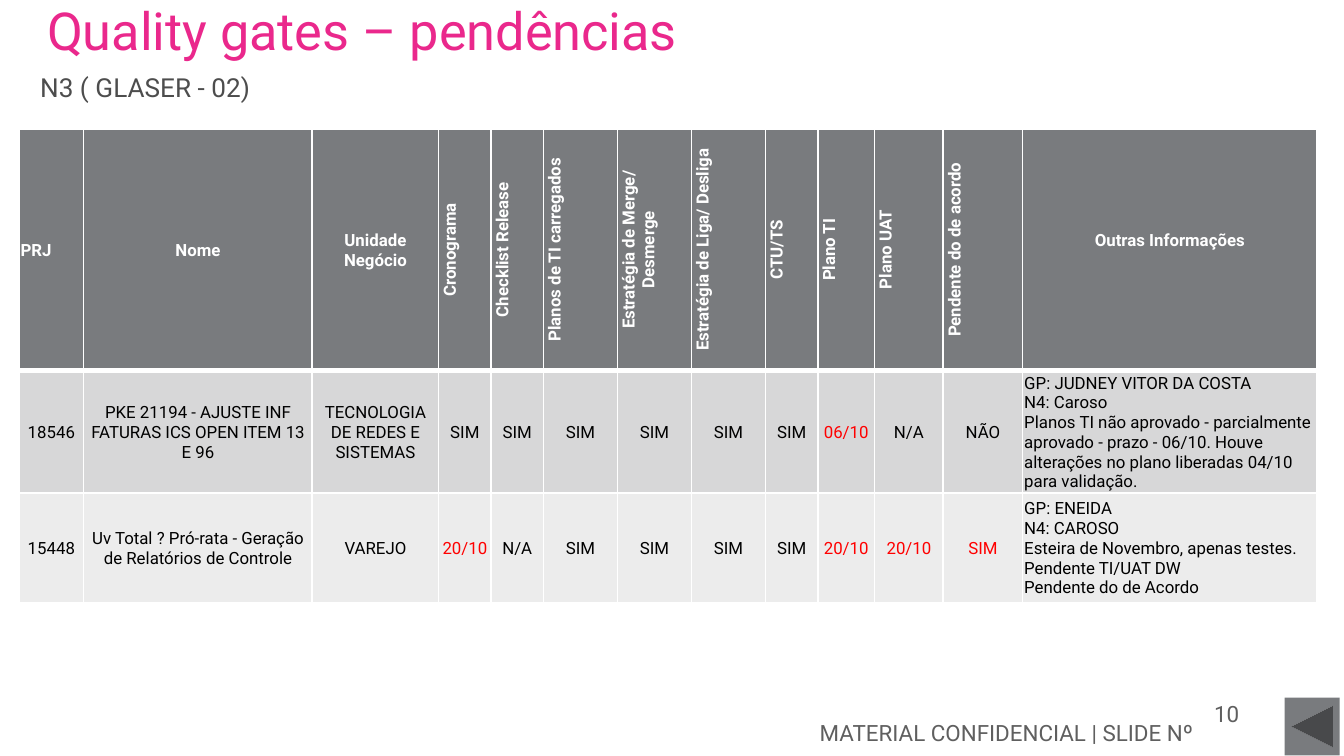
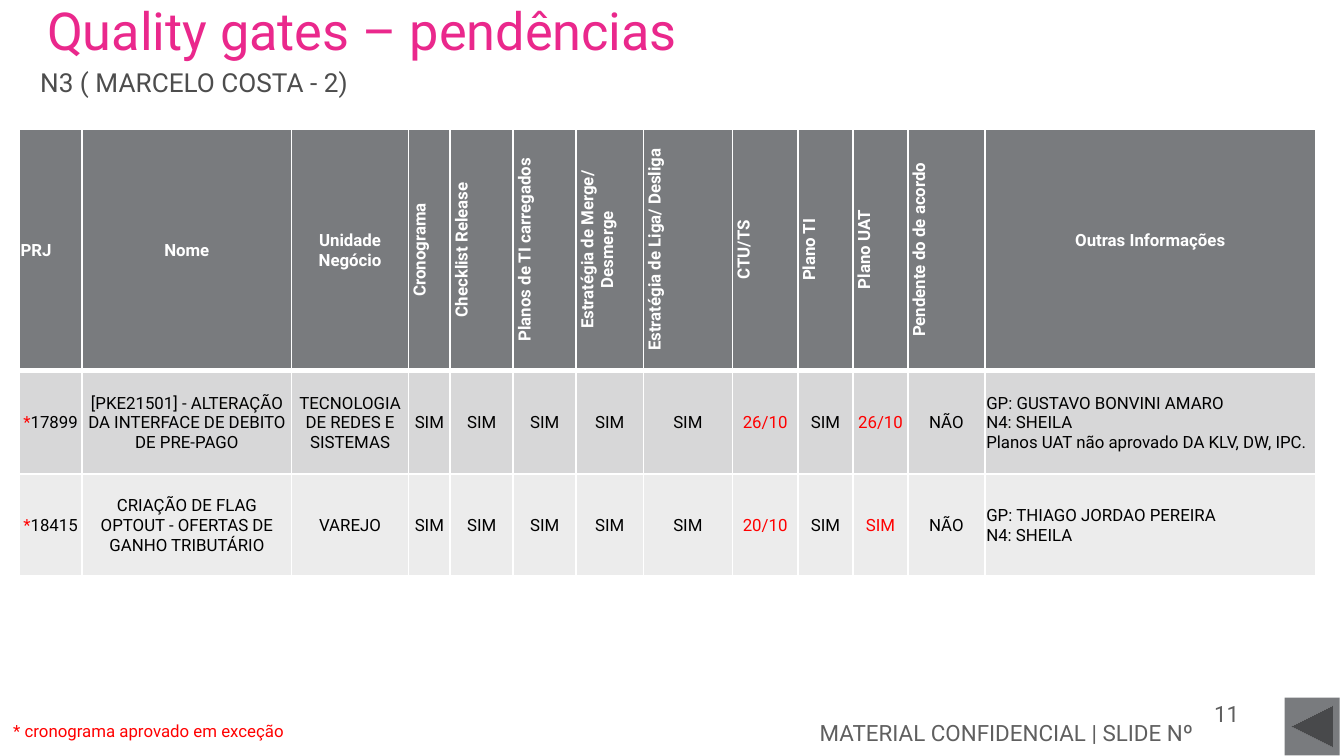
import lxml.etree
import pptx
import pptx.dml.color
import pptx.enum.shapes
import pptx.enum.text
import pptx.oxml.ns
import pptx.util

Cm = pptx.util.Cm
Pt = pptx.util.Pt
ALIGN = pptx.enum.text.PP_ALIGN
MIDDLE = pptx.enum.text.MSO_ANCHOR.MIDDLE

FONT = "Roboto"
PINK, RED, WHITE, BLACK = "EA288C", "FF0000", "FFFFFF", "000000"
GRAY, SUBTITLE_GRAY, FOOTER_GRAY = "797B7E", "4D4D4D", "5F5F5F"
ROW_FILLS = [GRAY, "D7D7D8", "ECECEC"]

HEADERS = [
    "PRJ", "Nome", "Unidade Negócio", "Cronograma", "Checklist Release",
    "Planos de TI carregados", "Estratégia de Merge/ Desmerge",
    "Estratégia de Liga/ Desliga", "CTU/TS", "Plano TI", "Plano UAT",
    "Pendente do de acordo", "Outras Informações",
]
LAST = len(HEADERS) - 1
VERTICAL = range(3, LAST)
RED_MARK = "!"

GATES = [
    {
        "number": "10",
        "subtitle": "N3 ( GLASER - 02)",
        "subtitle_top": 1.3,
        "widths": [1.22, 4.32, 2.39, 0.99, 0.99, 1.4, 1.4, 1.4, 0.99, 1.07, 1.3, 1.5, 5.56],
        "heights": [2.16, 1.3, 2.06],
        "table_height": 6.5,
        "projects": [
            ["18546", "PKE 21194 - AJUSTE INF FATURAS ICS OPEN ITEM 13 E 96",
             "TECNOLOGIA DE REDES E SISTEMAS", "SIM", "SIM", "SIM", "SIM", "SIM", "SIM",
             "!06/10", "N/A", "NÃO",
             "GP: JUDNEY VITOR DA COSTA\nN4: Caroso\n"
             "Planos TI não aprovado - parcialmente aprovado - prazo - 06/10. "
             "Houve alterações no plano liberadas 04/10 para validação."],
            ["15448", "Uv Total ? Pró-rata - Geração de Relatórios de Controle",
             "VAREJO", "!20/10", "N/A", "SIM", "SIM", "SIM", "SIM",
             "!20/10", "!20/10", "!SIM",
             "GP: ENEIDA\nN4: CAROSO\nEsteira de Novembro, apenas testes.\n"
             "Pendente TI/UAT DW\nPendente do de Acordo"],
        ],
    },
    {
        "number": "11",
        "subtitle": "N3 ( MARCELO COSTA - 2)",
        "subtitle_top": 1.22,
        "widths": [1.19, 3.96, 2.21, 0.79, 1.19, 1.19, 1.27, 1.68, 1.24, 1.04, 1.04, 1.45, 6.25],
        "heights": [1.96, 1.96, 1.93],
        "table_height": 5.84,
        "projects": [
            ["*17899", "[PKE21501] - ALTERAÇÃO DA INTERFACE DE DEBITO DE PRE-PAGO",
             "TECNOLOGIA DE REDES E SISTEMAS", "SIM", "SIM", "SIM", "SIM", "SIM", "!26/10",
             "SIM", "!26/10", "NÃO",
             "GP: GUSTAVO BONVINI AMARO\nN4: SHEILA\n"
             "Planos UAT não aprovado DA KLV, DW, IPC."],
            ["*18415", "CRIAÇÃO DE FLAG OPTOUT - OFERTAS DE GANHO TRIBUTÁRIO",
             "VAREJO", "SIM", "SIM", "SIM", "SIM", "SIM", "!20/10",
             "SIM", "!SIM", "NÃO",
             "GP: THIAGO JORDAO PEREIRA\nN4: SHEILA"],
        ],
        "note": "* cronograma aprovado em exceção",
    },
]


def rgb(value):
    """Turn a hex string into a colour."""
    return pptx.dml.color.RGBColor.from_string(value)


def write(frame, text, size=9, color=BLACK, bold=False, align=ALIGN.LEFT, line=None):
    """Fill a text frame, one paragraph a line; a leading asterisk is red."""
    for index, content in enumerate(text.split("\n")):
        para = frame.add_paragraph() if index else frame.paragraphs[0]
        para.alignment = align
        if line:
            para.line_spacing = Pt(line)
        spans = [(content, color)]
        if content.startswith("*") and color != RED:
            spans = [("*", RED), (content[1:], color)]
        for words, tone in spans:
            span = para.add_run()
            span.text = words
            span.font.name = FONT
            span.font.size = Pt(size)
            span.font.bold = bold
            span.font.color.rgb = rgb(tone)


def border(cell, side, width):
    """Draw one white edge of a cell."""
    properties = cell._tc.get_or_add_tcPr()
    qn = pptx.oxml.ns.qn
    edge = lxml.etree.SubElement(properties, qn(f"a:ln{side}"), w=str(Pt(width)))
    fill = lxml.etree.SubElement(edge, qn("a:solidFill"))
    lxml.etree.SubElement(fill, qn("a:srgbClr"), val=WHITE)


class GateDeck:
    """Holds the deck, its style and the current page."""

    def __init__(self):
        """Start an empty widescreen deck."""
        self.deck = pptx.Presentation()
        self.deck.slide_width = Cm(25.4)
        self.deck.slide_height = Cm(14.28)
        self.page = None

    def add_page(self, number):
        """Open a page with its title, footer and back button."""
        self.page = self.deck.slides.add_slide(self.deck.slide_layouts[6])
        self.add_text("Quality gates – pendências", 0.64, 0.18, 24.61, 1.32,
                      size=28, color=PINK, line=24)
        footer = {"size": 12, "color": FOOTER_GRAY, "align": ALIGN.RIGHT, "anchor": MIDDLE}
        self.add_text("MATERIAL CONFIDENCIAL | SLIDE Nº", 1.17, 13.54, 21.64, 0.61, **footer)
        self.add_text(number, 22.45, 13.18, 1.22, 0.61, **footer)
        self.add_back_button(24.28, 13.18, 1.04, 1.09)

    def add_text(self, text, left, top, width, height, inset=True, anchor=None, **style):
        """Place a wrapped text box."""
        box = self.page.shapes.add_textbox(Cm(left), Cm(top), Cm(width), Cm(height))
        frame = box.text_frame
        frame.word_wrap = True
        if anchor is not None:
            frame.vertical_anchor = anchor
        if not inset:
            frame.margin_left = frame.margin_right = 0
            frame.margin_top = frame.margin_bottom = 0
        write(frame, text, **style)

    def add_back_button(self, left, top, width, height):
        """Place the gray back button."""
        kind = pptx.enum.shapes.MSO_SHAPE.ACTION_BUTTON_BACK_OR_PREVIOUS
        button = self.page.shapes.add_shape(kind, Cm(left), Cm(top), Cm(width), Cm(height))
        button.shadow.inherit = False
        button.fill.solid()
        button.fill.fore_color.rgb = rgb(GRAY)
        button.line.fill.background()

    def add_gate_table(self, projects, widths, heights, table_height):
        """Place the table of projects and their quality gates."""
        rows = [HEADERS] + projects
        holder = self.page.shapes.add_table(
            len(rows), len(HEADERS), Cm(0.36), Cm(2.44), Cm(sum(widths)), Cm(table_height))
        table = holder.table
        for column, width in zip(table.columns, widths):
            column.width = Cm(width)
        for row, height in zip(table.rows, heights):
            row.height = Cm(height)
        holder.height = Cm(table_height)
        for row_index, texts in enumerate(rows):
            for column_index, text in enumerate(texts):
                self.fill_cell(table.cell(row_index, column_index), text, row_index, column_index)

    def fill_cell(self, cell, text, row, column):
        """Format and fill one table cell."""
        header = row == 0
        cell.vertical_anchor = MIDDLE
        cell.margin_left = cell.margin_right = cell.margin_top = Cm(0.03)
        cell.margin_bottom = Cm(0.38) if header and column == LAST else 0
        if header and column in VERTICAL:
            cell._tc.get_or_add_tcPr().set("vert", "vert270")
        for side in "LRTB":
            thick = (row, side) in [(0, "B"), (1, "T")]
            border(cell, side, 3 if thick else 1)
        cell.fill.solid()
        cell.fill.fore_color.rgb = rgb(ROW_FILLS[row])
        color = WHITE if header else RED if text.startswith(RED_MARK) else BLACK
        left = column == (0 if header else LAST)
        write(cell.text_frame, text.removeprefix(RED_MARK), color=color, bold=header,
              align=ALIGN.LEFT if left else ALIGN.CENTER)


def main():
    """Build the deck of pending quality gates."""
    builder = GateDeck()
    for gate in GATES:
        builder.add_page(gate["number"])
        builder.add_text(gate["subtitle"], 0.76, gate["subtitle_top"], 24.36, 0.79,
                         inset=False, size=14, color=SUBTITLE_GRAY, line=18)
        builder.add_gate_table(gate["projects"], gate["widths"], gate["heights"],
                               gate["table_height"])
        if "note" in gate:
            builder.add_text(gate["note"], 0.25, 13.36, 5.97, 0.79,
                             inset=False, color=RED, line=18)
    builder.deck.save("out.pptx")


if __name__ == "__main__":
    main()
